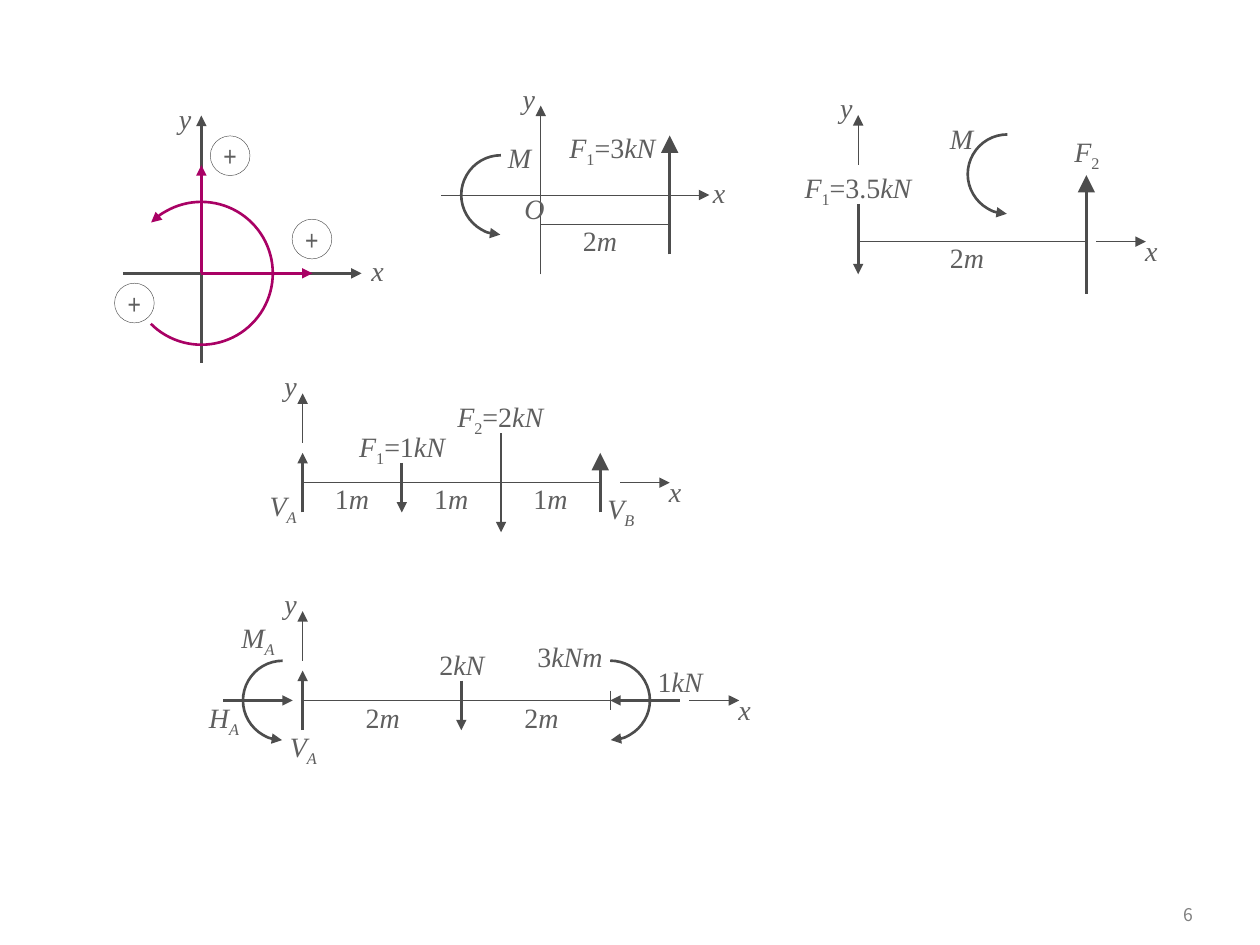
from dataclasses import dataclass
from typing import Any

from lxml import etree
from pptx import Presentation
from pptx import util as u
from pptx.dml import color
from pptx.enum import shapes, text
from pptx.oxml import ns

INK, GREY, ACCENT, PALE = "4D4D4D", "5F5F5F", "A90165", "808080"
THIN, BOLD = 0.25, 1.5
LABEL_HEIGHT, ARC_SIZE = 0.94, 1.6


@dataclass
class Box:
    """Hold the shapes of one region and the place of its origin in cm."""
    shapes: Any
    left: float
    top: float

    def at(self, x, y):
        """Turn a place in the region into a place on the page."""
        return u.Cm(self.left + x), u.Cm(self.top + y)


def paint(target, value):
    """Give a fill or font the colour of a hex string."""
    if hasattr(target, "solid"):
        target.solid()
        target.fore_color.rgb = color.RGBColor.from_string(value)
    else:
        target.color.rgb = color.RGBColor.from_string(value)


def stroke(shape, value, width, head=None, tail=None, size="med"):
    """Style an outline, with arrowheads where they are asked for."""
    paint(shape.line.fill, value)
    shape.line.width = u.Pt(width)
    outline = shape.line.fill._xPr
    for end, kind in (("a:headEnd", head), ("a:tailEnd", tail)):
        if kind:
            etree.SubElement(outline, ns.qn(end), type=kind, w=size, len=size)


def write(frame, words, size=16, font="Times New Roman", value=GREY,
          align=text.PP_ALIGN.CENTER, spacing=None):
    """Write a formula: letters are italic, an underscore lowers the next sign."""
    para = frame.paragraphs[0]
    para.alignment = align
    if spacing:
        para.line_spacing = spacing
    pieces = []
    lowered = False
    for sign in words:
        if sign == "_":
            lowered = True
            continue
        style = (sign.isalpha(), lowered)
        if pieces and pieces[-1][0] == style:
            pieces[-1][1] += sign
        else:
            pieces.append([style, sign])
        lowered = False
    for (italic, low), piece in pieces:
        span = para.add_run()
        span.text = piece
        span.font.size = u.Pt(size)
        span.font.name = font
        span.font.italic = italic
        paint(span.font, value)
        if low:
            span.font._element.set("baseline", "-25000")


def label(box, words, x, y, width=1.19, height=LABEL_HEIGHT, inset=None, **style):
    """Place a text box that grows with its formula."""
    shape = box.shapes.add_textbox(*box.at(x, y), u.Cm(width), u.Cm(height))
    frame = shape.text_frame
    frame.word_wrap = True
    frame.auto_size = text.MSO_AUTO_SIZE.SHAPE_TO_FIT_TEXT
    if inset is not None:
        frame.margin_left = frame.margin_right = u.Cm(inset)
        frame.margin_top = frame.margin_bottom = u.Cm(inset)
    write(frame, words, **style)


def line(box, start, end, width=THIN, value=INK, tail=None, size="med"):
    """Draw a straight line between two places."""
    shape = box.shapes.add_connector(
        shapes.MSO_CONNECTOR.STRAIGHT, *box.at(*start), *box.at(*end))
    stroke(shape, value, width, tail=tail, size=size)
    etree.SubElement(shape._element.spPr, ns.qn("a:effectLst"))


def arrow(box, start, end, **style):
    """Draw a line with an arrowhead at its end."""
    line(box, start, end, tail="triangle", **style)


def force(box, start, end, **style):
    """Draw the bold arrow of a force."""
    arrow(box, start, end, width=BOLD, **style)


def arc(box, x, y, size=ARC_SIZE, angles=(108.53, 0), rotation=270,
        value=INK, mirrored=False):
    """Draw the curved arrow of a moment."""
    shape = box.shapes.add_shape(
        shapes.MSO_SHAPE.ARC, *box.at(x, y), u.Cm(size), u.Cm(size))
    shape.adjustments[0], shape.adjustments[1] = angles
    shape.rotation = rotation
    if mirrored:
        shape._element.spPr.xfrm.set("flipV", "1")
    shape.shadow.inherit = False
    shape.fill.background()
    stroke(shape, value, BOLD, head="triangle")


def plus(box, x, y):
    """Draw a circled plus sign."""
    shape = box.shapes.add_shape(
        shapes.MSO_SHAPE.OVAL, *box.at(x, y), u.Cm(0.8), u.Cm(0.8))
    shape.shadow.inherit = False
    shape.fill.background()
    stroke(shape, INK, THIN)
    frame = shape.text_frame
    frame.word_wrap = False
    frame.vertical_anchor = text.MSO_ANCHOR.MIDDLE
    write(frame, "+", font="Arial Narrow")


def y_label(box, tip):
    """Name the vertical axis next to its tip."""
    label(box, "y", -0.48, tip - 0.2, 0.48, 0.33, inset=0, spacing=0.5)


def short_axes(box, x_start, y_start):
    """Draw two short axis arrows of one centimetre with their names."""
    arrow(box, (x_start, 0), (x_start + 1, 0))
    arrow(box, (0, y_start), (0, y_start - 1))
    label(box, "x", x_start + 0.61, -0.28, 1)
    y_label(box, y_start - 1)


def sign_rule(box):
    """Draw the positive directions of forces and moments."""
    label(box, "y", -0.83, -3.58, 1)
    arrow(box, (0, 1.8), (0, -3.18), width=0)
    arrow(box, (-1.58, 0), (3.23, 0), width=0)
    label(box, "x", 3.05, -0.53, 1)
    for end in ((2.24, 0), (0, -2.18)):
        force(box, (0, 0), end, value=ACCENT)
    arc(box, -1.44, -1.44, 2.88, (135.19, 81.02), 0, ACCENT)
    for place in ((0.18, -2.77), (-1.75, 0.2), (1.83, -1.09)):
        plus(box, *place)


def single_force(box):
    """Draw one force with its moment about the origin."""
    arc(box, -1.6, -0.8)
    arrow(box, (-2, 0), (3.4, 0))
    arrow(box, (0, 1.6), (0, -1.8))
    label(box, "x", 3, -0.51)
    force(box, (2.6, 1.2), (2.6, -1.2), size="lg")
    label(box, "F_1=3kN", 0.25, -1.42, 2.39)
    label(box, "M", -0.91, -1.22, 0.71)
    y_label(box, -1.8)
    line(box, (0, 0.6), (2.6, 0.6))
    label(box, "2m", 0.6, 0.46)
    label(box, "O", -0.58, -0.2, 0.61)


def force_couple(box):
    """Draw two opposite forces with a moment."""
    arc(box, 2.21, -2.16)
    force(box, (4.6, 1.05), (4.6, -1.34), size="lg")
    label(box, "F_2", 4.04, -2.28, 1.14)
    label(box, "M", 1.6, -2.54, 0.71)
    short_axes(box, 4.8, -1.55)
    line(box, (0, 0), (4.6, 0))
    label(box, "2m", 1.6, -0.15)
    force(box, (0, -0.76), (0, 0.66))
    label(box, "F_1=3.5kN", -1.4, -1.55, 2.79)


def simple_beam(box):
    """Draw a beam on two supports with two loads."""
    short_axes(box, 6.4, -0.8)
    line(box, (0, 0), (6, 0))
    for bay in range(3):
        label(box, "1m", 0.4 + 2 * bay, -0.15)
    for x, size in ((0, "med"), (6, "lg")):
        force(box, (x, 0.6), (x, -0.6), size=size)
    force(box, (2, -0.4), (2, 0.6))
    force(box, (4, -1), (4, 1))
    label(box, "F_1=1kN", 0.81, -1.19, 2.39)
    label(box, "F_2=2kN", 2.79, -1.8, 2.39)
    label(box, "V_A", -0.99, 0)
    label(box, "V_B", 5.82, 0.05)


def cantilever(box):
    """Draw a clamped beam with its loads and reactions."""
    short_axes(box, 7.8, -0.8)
    line(box, (0, 0), (6.2, 0))
    line(box, (6.2, -0.2), (6.2, 0.2))
    for start, end in (((0, 0.6), (0, -0.6)), ((-1.6, 0), (-0.2, 0)),
                       ((3.2, -0.4), (3.2, 0.6)), ((7.6, 0), (6.2, 0))):
        force(box, start, end)
    arc(box, -1.2, -0.8)
    arc(box, 5.4, -0.8, mirrored=True)
    for words, x, y, width in (
            ("2kN", 2.41, -1.19, 1.6), ("3kNm", 4.39, -1.35, 2),
            ("1kN", 6.81, -0.84, 1.6), ("M_A", -1.6, -1.73, 1.4),
            ("H_A", -2.18, -0.13, 1.19), ("V_A", -0.58, 0.46, 1.19),
            ("2m", 1.02, -0.13, 1.19), ("2m", 4.22, -0.13, 1.19)):
        label(box, words, x, y, width)


def page_number(box):
    """Write the number of the page."""
    shape = box.shapes.add_textbox(*box.at(0, 0), u.Cm(1.8), u.Cm(0.84))
    shape.text_frame.word_wrap = True
    shape.text_frame.vertical_anchor = text.MSO_ANCHOR.MIDDLE
    write(shape.text_frame, "6", size=10, font="Noto Sans CJK KR",
          value=PALE, align=text.PP_ALIGN.RIGHT)


deck = Presentation()
deck.slide_width, deck.slide_height = u.Cm(25.4), u.Cm(19.05)
page = deck.slides.add_slide(deck.slide_layouts[6])
page_number(Box(page.shapes, 22.5, 18.01))
for region, left, top in ((sign_rule, 4.06, 5.51), (single_force, 10.9, 3.93),
                          (force_couple, 17.3, 4.87), (simple_beam, 6.1, 9.73),
                          (cantilever, 6.1, 14.12)):
    region(Box(page.shapes.add_group_shape().shapes, left, top))
deck.save("out.pptx")
